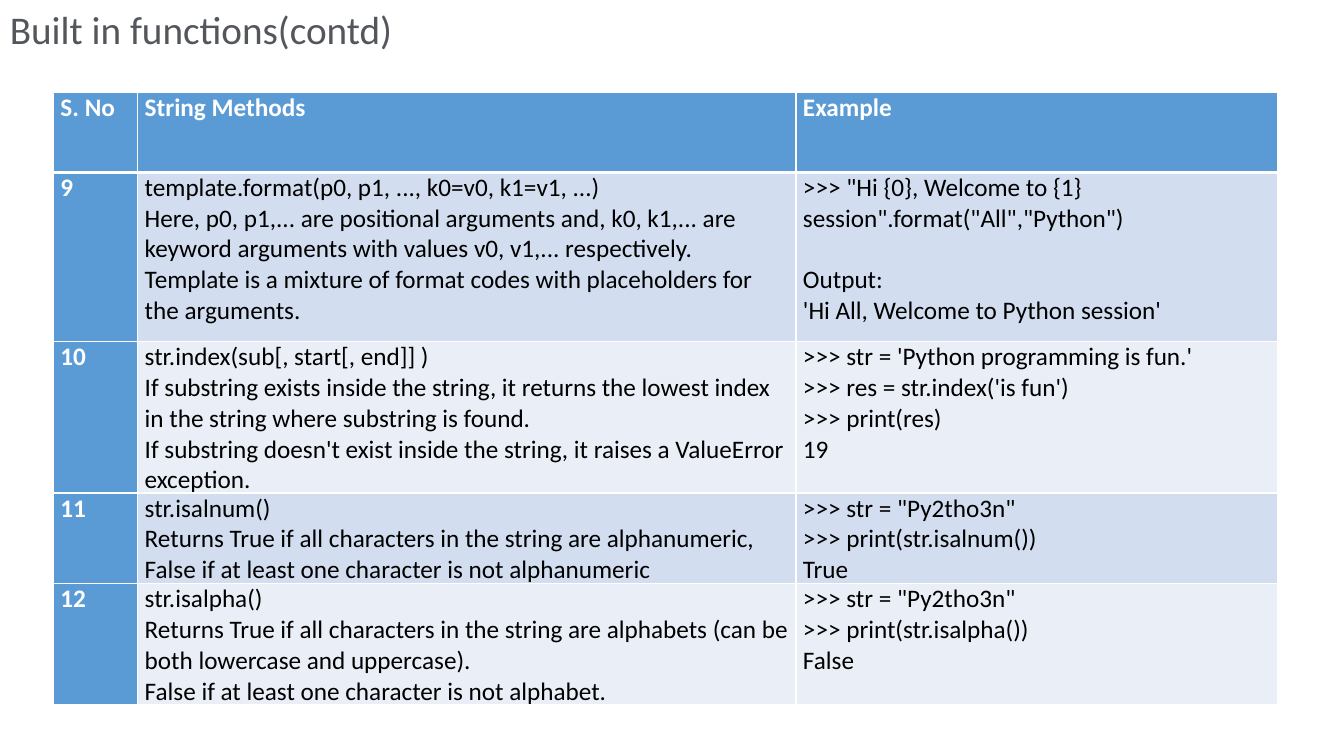
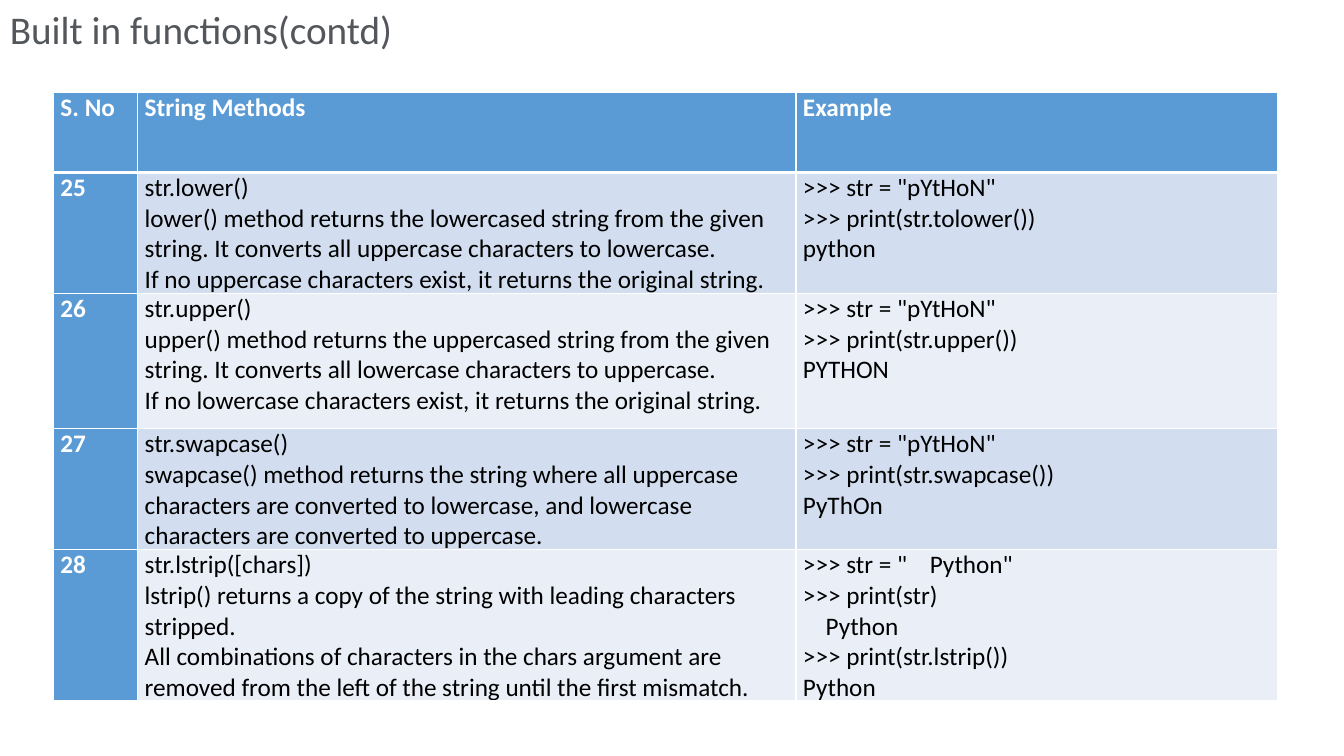
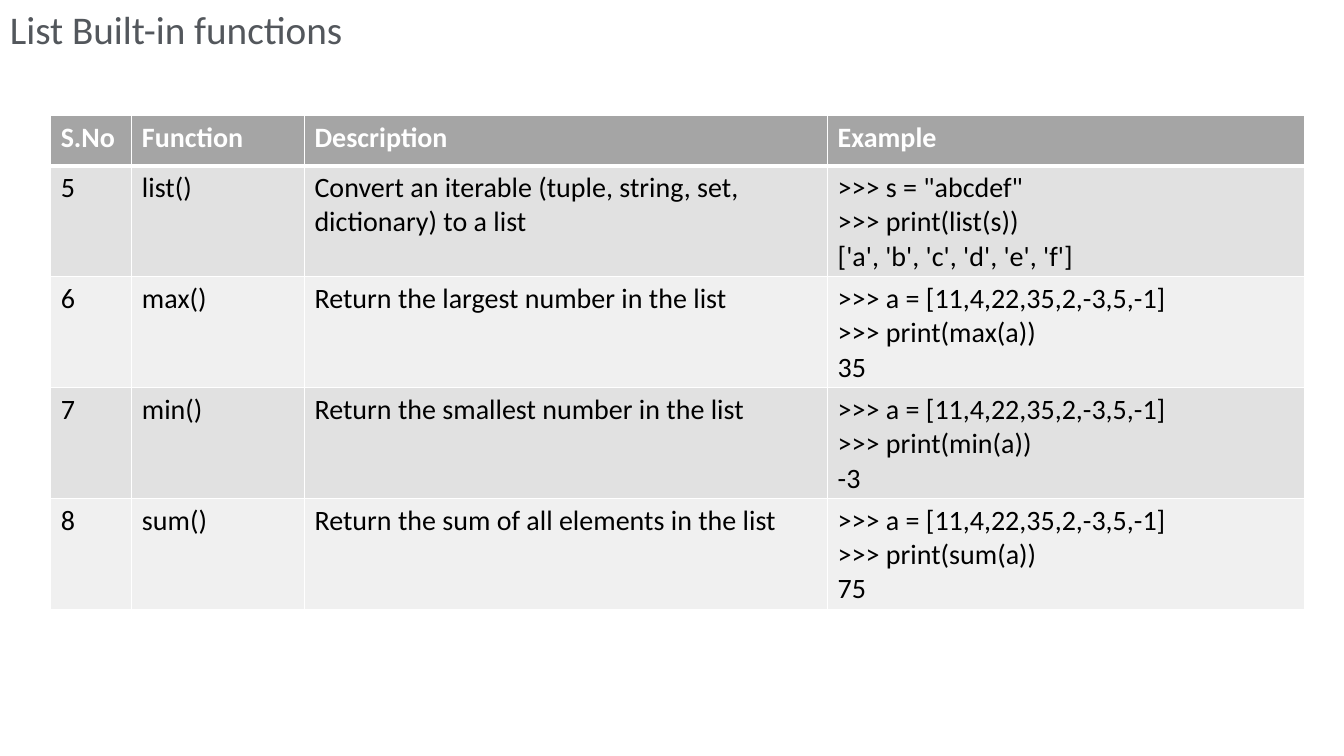
from dataclasses import dataclass

from lxml import etree
from pptx import Presentation
from pptx import util as u
from pptx.dml.color import RGBColor
from pptx.enum import text
from pptx.oxml import ns

Pt = u.Pt


# Colours and type sizes
@dataclass(frozen=True)
class Theme:
    font: str = "Calibri"
    title: str = "53575C"
    white: str = "FFFFFF"
    body: str = "000000"
    title_size: float = 28
    rule: float = 1
    header_rule: float = 3
    gap: float = 22


@dataclass(frozen=True)
class TableStyle:
    head: str
    bands: tuple
    size: float
    margins: tuple  # side, top and bottom
    left: float
    top: float
    widths: tuple
    index_column: bool  # first column coloured like the header


T = Theme()
METHODS = TableStyle("5B9BD5", ("D2DEEF", "EAEFF7"), 18, (5, 0), 38.2, 66.2,
                     (60.2, 470.2, 344), True)
LISTS = TableStyle("A5A5A5", ("E1E1E1", "F0F0F0"), 20, (7.2, 3.6), 36.2, 82.4,
                   (58, 123.3, 373.7, 340.7), False)

# Table content
METHOD_HEAD = ("S. No", "String Methods", "Example")
FORMAT_TO_ALPHA = [
    METHOD_HEAD,
    ("9",
     "template.format(p0, p1, ..., k0=v0, k1=v1, ...)\n"
     "Here, p0, p1,... are positional arguments and, k0, k1,... are keyword "
     "arguments with values v0, v1,... respectively.\n"
     "Template is a mixture of format codes with placeholders for the arguments.",
     '>>> "Hi {0}, Welcome to {1} session".format("All","Python")\n'
     "Output:\n'Hi All, Welcome to Python session'"),
    ("10",
     "str.index(sub[, start[, end]] )\n"
     "If substring exists inside the string, it returns the lowest index in "
     "the string where substring is found.\n"
     "If substring doesn't exist inside the string, it raises a ValueError "
     "exception.",
     ">>> str = 'Python programming is fun.'\n>>> res = str.index('is fun')\n"
     ">>> print(res)\n19"),
    ("11",
     "str.isalnum()\n"
     "Returns True if all characters in the string are alphanumeric,\n"
     "False if at least one character is not alphanumeric",
     '>>> str = "Py2tho3n"\n>>> print(str.isalnum())\nTrue'),
    ("12",
     "str.isalpha()\n"
     "Returns True if all characters in the string are alphabets (can be both "
     "lowercase and uppercase).\n"
     "False if at least one character is not alphabet.",
     '>>> str = "Py2tho3n"\n>>> print(str.isalpha())\nFalse'),
]
LOWER_TO_LSTRIP = [
    METHOD_HEAD,
    ("25",
     "str.lower()\n"
     "lower() method returns the lowercased string from the given string. It "
     "converts all uppercase characters to lowercase.\n"
     "If no uppercase characters exist, it returns the original string.",
     '>>> str = "pYtHoN"\n>>> print(str.tolower())\npython'),
    ("26",
     "str.upper()\n"
     "upper() method returns the uppercased string from the given string. It "
     "converts all lowercase characters to uppercase.\n"
     "If no lowercase characters exist, it returns the original string.",
     '>>> str = "pYtHoN"\n>>> print(str.upper())\nPYTHON'),
    ("27",
     "str.swapcase()\n"
     "swapcase() method returns the string where all uppercase characters are "
     "converted to lowercase, and lowercase characters are converted to "
     "uppercase.",
     '>>> str = "pYtHoN"\n>>> print(str.swapcase())\nPyThOn'),
    ("28",
     "str.lstrip([chars])\n"
     "lstrip() returns a copy of the string with leading characters stripped.\n"
     "All combinations of characters in the chars argument are removed from "
     "the left of the string until the first mismatch.",
     '>>> str = "    Python"\n>>> print(str)\n    Python\n'
     ">>> print(str.lstrip())\nPython"),
]


def number_example(name, result):
    return f">>> a = [11,4,22,35,2,-3,5,-1]\n>>> print({name}(a))\n{result}"


LIST_FUNCTIONS = [
    ("S.No", "Function", "Description", "Example"),
    ("5", "list()",
     "Convert an iterable (tuple, string, set, dictionary) to a list",
     ">>> s = \"abcdef\"\n>>> print(list(s))\n['a', 'b', 'c', 'd', 'e', 'f']"),
    ("6", "max()", "Return the largest number in the list",
     number_example("max", 35)),
    ("7", "min()", "Return the smallest number in the list",
     number_example("min", -3)),
    ("8", "sum()", "Return the sum of all elements in the list",
     number_example("sum", 75)),
]


def set_all(target, values):
    for name, value in values.items():
        setattr(target, name, value)


def format_text(tf, size, color, bold=False):
    for p in tf.paragraphs:
        for r in p.runs:
            set_all(r.font, {"name": T.font, "size": Pt(size), "bold": bold})
            r.font.color.rgb = RGBColor.from_string(color)


def add_title(s, title, width):
    tf = s.shapes.add_textbox(0, 0, Pt(width), Pt(41)).text_frame
    set_all(tf, {"text": title, "word_wrap": False,
                 "auto_size": text.MSO_AUTO_SIZE.SHAPE_TO_FIT_TEXT})
    format_text(tf, T.title_size, T.title)


def set_borders(cell, top, bottom):
    """Draw white cell edges; edge lines come before the fill."""
    tc_pr = cell._tc.get_or_add_tcPr()
    widths = {"lnL": T.rule, "lnR": T.rule, "lnT": top, "lnB": bottom}
    for i, (edge, width) in enumerate(widths.items()):
        ln = etree.Element(ns.qn(f"a:{edge}"), w=str(int(Pt(width))))
        fill = etree.SubElement(ln, ns.qn("a:solidFill"))
        etree.SubElement(fill, ns.qn("a:srgbClr"), val=T.white)
        tc_pr.insert(i, ln)


def fill_cell(cell, content, style, row, col):
    strong = row == 0 or (style.index_column and col == 0)
    side, edge = (Pt(m) for m in style.margins)
    set_all(cell, {"margin_left": side, "margin_right": side,
                   "margin_top": edge, "margin_bottom": edge})
    cell.fill.solid()
    color = style.head if strong else style.bands[(row - 1) % 2]
    cell.fill.fore_color.rgb = RGBColor.from_string(color)
    set_borders(cell, T.header_rule if row == 1 else T.rule,
                T.header_rule if row == 0 else T.rule)
    tf = cell.text_frame
    tf.text = content
    format_text(tf, style.size, T.white if strong else T.body, strong)
    for p in tf.paragraphs:
        if p.text == "Output:":
            p.space_before = Pt(T.gap)


def add_grid(s, rows, heights, style):
    frame = s.shapes.add_table(len(rows), len(style.widths), Pt(style.left),
                               Pt(style.top), Pt(sum(style.widths)),
                               Pt(sum(heights)))
    table = frame.table
    table.horz_banding = False
    for column, width in zip(table.columns, style.widths):
        column.width = Pt(width)
    for i, (values, height) in enumerate(zip(rows, heights)):
        table.rows[i].height = Pt(height)
        for j, value in enumerate(values):
            fill_cell(table.cell(i, j), value, style, i, j)


def main():
    prs = Presentation()
    set_all(prs, {"slide_width": Pt(960), "slide_height": Pt(540)})
    # Title, title width, rows, row heights, table style
    pages = [
        ("Built in functions(contd)", 288, FORMAT_TO_ALPHA,
         (57, 121, 108, 64.5, 86), METHODS),
        ("Built in functions(contd)", 288, LOWER_TO_LSTRIP,
         (57, 86, 96.5, 86, 108), METHODS),
        ("List Built-in functions", 253.4, LIST_FUNCTIONS,
         (36, 79, 79, 79, 79), LISTS),
    ]
    for title, width, rows, heights, style in pages:
        s = prs.slides.add_slide(prs.slide_layouts[6])
        add_title(s, title, width)
        add_grid(s, rows, heights, style)
    prs.save("out.pptx")


if __name__ == "__main__":
    main()
